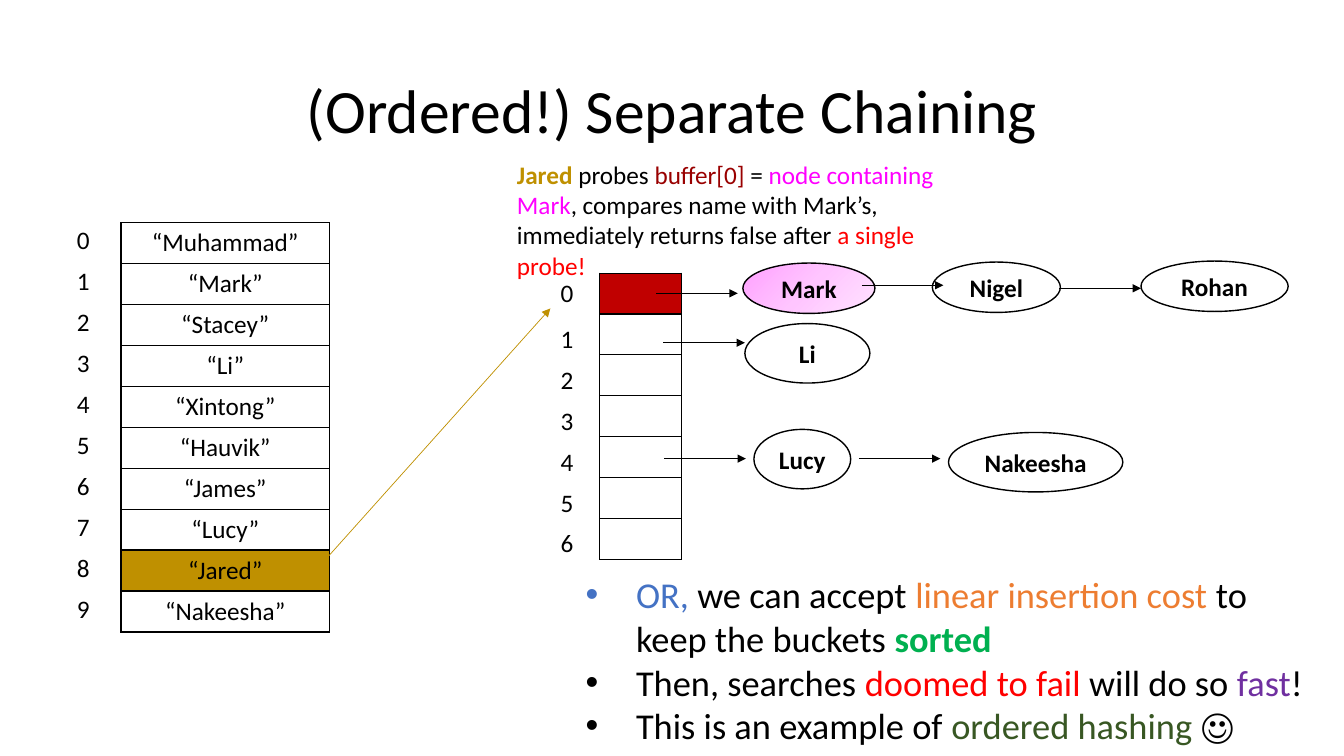
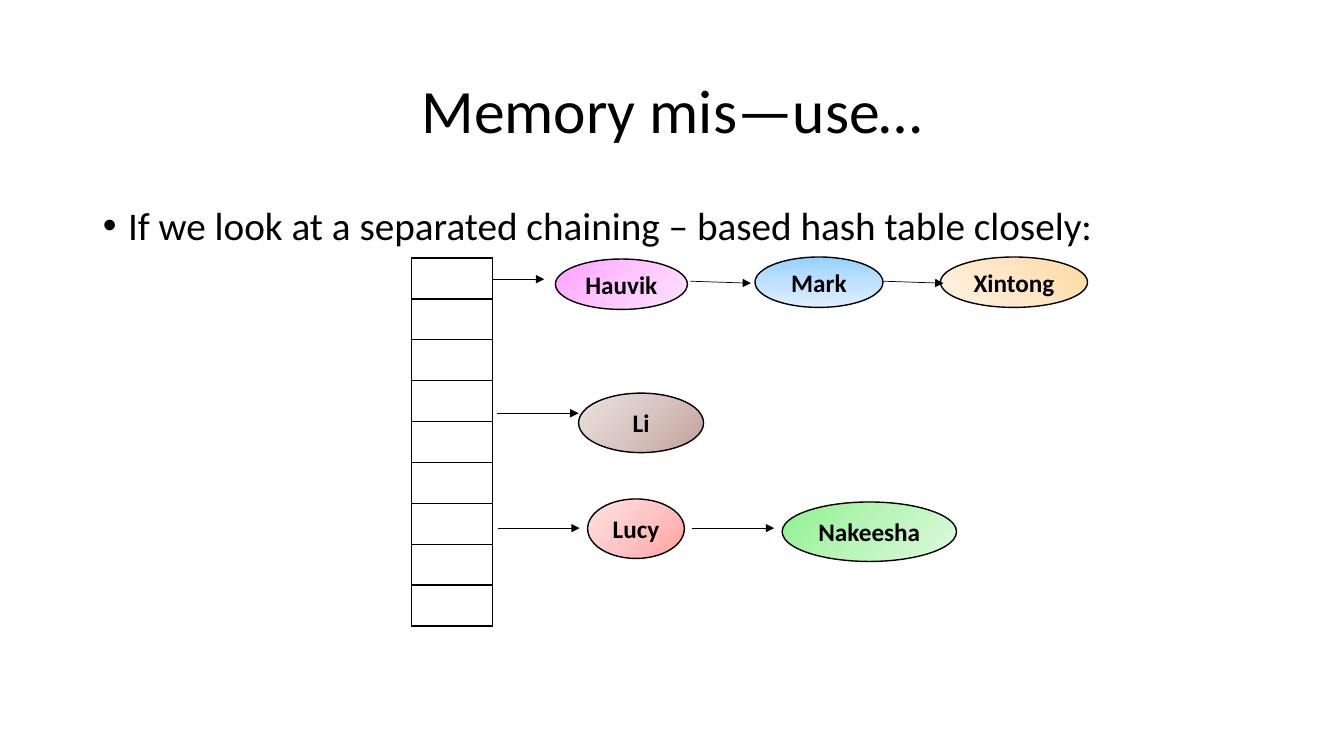
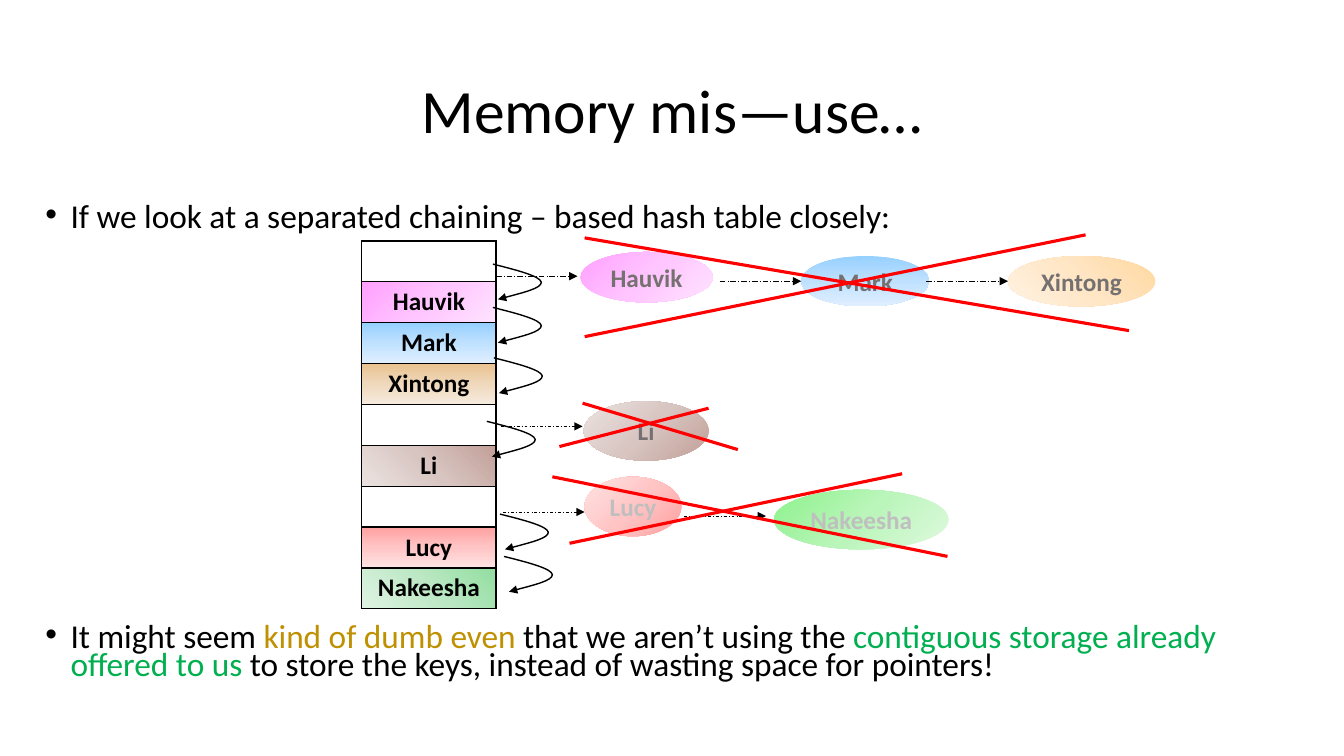
from copy import deepcopy

from lxml.etree import SubElement
from pptx import Presentation
from pptx.dml.color import RGBColor
from pptx.enum.dml import MSO_LINE
from pptx.enum.shapes import MSO_CONNECTOR, MSO_SHAPE
from pptx.enum.text import MSO_ANCHOR, MSO_AUTO_SIZE, PP_ALIGN
from pptx.oxml.ns import qn
from pptx.util import Inches, Pt

FONT = "Calibri"
BLACK, WHITE, RED, GOLD = "000000", "FFFFFF", "FF0000", "BF9000"
GREEN, GRAY, PALE = "00B050", "767171", "BFBFBF"
NO_GRID = "{2D5ABB26-0587-4C30-8999-92F81FD0307C}"
PINK = ("FFA0FF", "FFC5FF", "FFE3FF")
BLUE = ("96D0FF", "BFE1FF", "E0EFFF")
ORANGE = ("FFD8A0", "FFE6C5", "FFF2E3")
TAN = ("E9C28F", "EFD8BC", "F6EBDE")
BROWN = ("C29F98", "D8C5C1", "EBE3E1")
ROSE = ("FFA0A0", "FFC5C5", "FFE3E3")
LIME = ("8CF28C", "BAF5BA", "DEF9DE")
MINT = ("91DEA0", "BDE8C5", "DFF3E3")
NODE_FILLS = {
    "Hauvik": (PINK, 45), "Mark": (BLUE, 90), "Xintong": (ORANGE, 135),
    "Li": (BROWN, 225), "Lucy": (ROSE, 225), "Nakeesha": (LIME, None),
}
HOP_CURVES = (((0.24, 0.06), (0.47, 0.12), (0.48, 0.18)),
              ((0.48, 0.24), (0.27, 0.29), (0.05, 0.35)))
INTRO = "If we look at a separated chaining – based hash table closely:"


def rgb(color):
    """Turn a hex string into a colour."""
    return RGBColor.from_string(color)


def paint(fill, look):
    """Fill with nothing, a hex colour, or (three colours, clockwise angle or None for radial)."""
    if look is None:
        fill.background()
    elif isinstance(look, str):
        fill.solid()
        fill.fore_color.rgb = rgb(look)
    else:
        colors, angle = look
        fill.gradient()
        grad = fill._xPr.find(qn("a:gradFill"))
        stops = grad.find(qn("a:gsLst"))
        stops.insert(1, deepcopy(stops[0]))
        for stop, color, position in zip(fill.gradient_stops, colors, (0, 0.5, 1)):
            stop.color.rgb = rgb(color)
            stop.position = position
        if angle is None:
            grad.remove(grad.find(qn("a:lin")))
            radial = SubElement(grad, qn("a:path"), path="circle")
            SubElement(radial, qn("a:fillToRect"), r="100000", b="100000")
        else:
            fill.gradient_angle = 360 - angle


def write(tf, paragraphs, size=18, color=BLACK, bold=False, align=None,
          spacing=None, before=0, indent=None):
    """Write paragraphs, each a string or a list of strings and (text, colour, bold) parts."""
    for i, parts in enumerate(paragraphs):
        p = tf.add_paragraph() if i else tf.paragraphs[0]
        p.alignment, p.line_spacing, p.space_before = align, spacing, Pt(before)
        if indent:
            pPr = p._p.get_or_add_pPr()
            pPr.set("marL", str(Inches(indent)))
            pPr.set("indent", str(-Inches(indent)))
        for part in [parts] if isinstance(parts, str) else parts:
            text, tint, weight = (part, color, bold) if isinstance(part, str) else part
            r = p.add_run()
            r.text = text
            r.font.name, r.font.size, r.font.bold = FONT, Pt(size), weight
            r.font.color.rgb = rgb(tint)


def place(sp, box):
    """Move a shape to left, top, width, height in inches."""
    sp.left, sp.top, sp.width, sp.height = map(Inches, box)


def add_slide(prs, title, body_box):
    """Add a titled slide and return it with the text frame of its list."""
    s = prs.slides.add_slide(prs.slide_layouts[1])
    body = s.placeholders[1]
    place(s.shapes.title, (0.92, 0.4, 11.5, 1.45))
    place(body, body_box)
    for sp in (s.shapes.title, body):
        sp.text_frame.word_wrap = True
        sp.text_frame.auto_size = MSO_AUTO_SIZE.NONE
    s.shapes.title.text_frame.vertical_anchor = MSO_ANCHOR.MIDDLE
    write(s.shapes.title.text_frame, [title], size=44, align=PP_ALIGN.CENTER, spacing=0.9)
    return s, body.text_frame


def add_border(cell):
    """Draw a thin black line on all four sides of a cell."""
    tcPr = cell._tc.get_or_add_tcPr()
    for i, side in enumerate(("lnL", "lnR", "lnT", "lnB")):
        ln = SubElement(tcPr, qn(f"a:{side}"), w=str(Pt(1)))
        solid = SubElement(ln, qn("a:solidFill"))
        SubElement(solid, qn("a:srgbClr"), val=BLACK)
        tcPr.insert(i, ln)


def add_column(s, box, texts, fills=None, fill=WHITE, border=True, bold=False):
    """Add a one-column table; fills maps row numbers to their own fill."""
    table = s.shapes.add_table(len(texts), 1, *map(Inches, box)).table
    table._tbl.tblPr.find(qn("a:tableStyleId")).text = NO_GRID
    table.first_row = table.horz_banding = False
    for i, text in enumerate(texts):
        cell = table.cell(i, 0)
        paint(cell.fill, (fills or {}).get(i, fill))
        if border:
            add_border(cell)
        if text:
            write(cell.text_frame, [text], bold=bold, align=PP_ALIGN.CENTER)
    return table


def add_node(s, name, box, fill=WHITE, color=BLACK, outline=True):
    """Add an ellipse that holds one key of a chain."""
    sp = s.shapes.add_shape(MSO_SHAPE.OVAL, *map(Inches, box))
    sp.shadow.inherit = False
    paint(sp.fill, fill)
    if outline:
        sp.line.color.rgb, sp.line.width = rgb(BLACK), Pt(1)
    else:
        sp.line.fill.background()
    tf = sp.text_frame
    tf.word_wrap, tf.vertical_anchor = False, MSO_ANCHOR.MIDDLE
    write(tf, [name], color=color, bold=True, align=PP_ALIGN.CENTER)


def style_line(line, color, width, dash=None, arrow=True):
    """Format a line and give it an arrowhead at its end."""
    line.color.rgb, line.width = rgb(color), Pt(width)
    if dash:
        line.dash_style = dash
    if arrow:
        SubElement(line._get_or_add_ln(), qn("a:tailEnd"), type="triangle")


def add_line(s, x1, y1, x2, y2, color=BLACK, width=0.5, **style):
    """Add a straight line, by default a thin arrow."""
    line = s.shapes.add_connector(MSO_CONNECTOR.STRAIGHT, *map(Inches, (x1, y1, x2, y2)))
    style_line(line.line, color, width, **style)
    SubElement(line._element.spPr, qn("a:effectLst"))


def add_hop(s, x, y):
    """Add a curved arrow from one table row to the next."""
    builder = s.shapes.build_freeform(Inches(x), Inches(y))
    builder.add_line_segments([(Inches(x + curve[-1][0]), Inches(y + curve[-1][1]))
                               for curve in HOP_CURVES], close=False)
    sp = builder.convert_to_shape()
    outline = next(sp._element.iter(qn("a:path")))
    for segment, curve in zip(outline.findall(qn("a:lnTo")), HOP_CURVES):
        outline.remove(segment)
        bezier = SubElement(outline, qn("a:cubicBezTo"))
        for dx, dy in curve:
            SubElement(bezier, qn("a:pt"), x=str(Inches(dx)), y=str(Inches(dy)))
    sp.shadow.inherit = False
    sp.fill.background()
    style_line(sp.line, BLACK, 1)


def build_ordered(prs):
    """Build the slide on ordered chaining."""
    s, tf = add_slide(prs, "(Ordered!) Separate Chaining", (5.71, 5.63, 7.39, 1.85))
    write(tf, [
        [("OR, ", "4472C4", False), "we can accept ", ("linear insertion cost", "ED7D31", False),
         " to keep the buckets ", ("sorted", GREEN, True)],
        ["Then, searches ", ("doomed to fail ", RED, False), "will do so ",
         ("fast", "7030A0", False), "!"],
        ["This is an example of ", ("ordered hashing ", "385723", False), "☺"],
    ], size=26, spacing=1.0, indent=0.5)
    keys = ("Muhammad", "Mark", "Stacey", "Li", "Xintong", "Hauvik", "James", "Lucy",
            "Jared", "Nakeesha")
    bucket_numbers = add_column(s, (5.22, 2.71, 0.81, 2.84), [str(i) for i in range(7)],
                                fill=None, border=False)
    bucket_numbers.rows[0].height = Inches(0.46)
    add_column(s, (5.95, 2.71, 0.81, 2.84), [""] * 7, {0: "C00000"})
    add_column(s, (1.2, 2.21, 2.07, 4.06), [f"“{key}”" for key in keys], {8: GOLD})
    add_column(s, (0.46, 2.19, 0.73, 4.06), [str(i) for i in range(len(keys))],
               fill=None, border=False)
    add_node(s, "Mark", (7.37, 2.61, 1.31, 0.5), (PINK, 45))
    for name, box in (
        ("Nigel", (9.25, 2.6, 1.27, 0.5)), ("Rohan", (11.32, 2.59, 1.46, 0.5)),
        ("Li", (7.39, 3.21, 1.24, 0.59)), ("Lucy", (7.48, 4.26, 0.96, 0.59)),
        ("Nakeesha", (9.41, 4.29, 1.73, 0.59)),
    ):
        add_node(s, name, box)
    for x, y in ((6.51, 2.91), (8.55, 2.83), (10.51, 2.86), (6.58, 3.4), (6.59, 4.55),
                 (8.52, 4.55)):
        add_line(s, x, y, x + 0.81, y)
    add_line(s, 3.06, 5.74, 5.46, 3.06, color=GOLD)
    note = s.shapes.add_textbox(*map(Inches, (5.03, 1.53, 4.85, 1.31))).text_frame
    note.word_wrap = True
    write(note, [[
        ("Jared", GOLD, True), " probes ", ("buffer[0]", "990000", False), " =",
        (" node containing Mark", "FF00FF", False),
        ", compares name with Mark’s, immediately returns false after ",
        ("a single probe!", RED, False),
    ]])


def build_chains(prs):
    """Build the slide that shows the chains in memory."""
    s, tf = add_slide(prs, "Memory mis—use…", (0.92, 2, 11.5, 4.76))
    write(tf, [INTRO], size=28, spacing=0.9, before=10, indent=0.25)
    for name, box in (
        ("Hauvik", (5.51, 2.57, 1.31, 0.5)), ("Mark", (7.49, 2.55, 1.27, 0.5)),
        ("Xintong", (9.33, 2.55, 1.46, 0.5)), ("Li", (5.74, 3.9, 1.24, 0.59)),
        ("Lucy", (5.83, 4.95, 0.96, 0.59)), ("Nakeesha", (7.76, 4.98, 1.73, 0.59)),
    ):
        add_node(s, name, box, NODE_FILLS[name])
    for ends in ((4.58, 2.77, 5.4, 2.77), (4.93, 4.1, 5.74, 4.1), (4.94, 5.24, 5.75, 5.24),
                 (6.87, 5.24, 7.68, 5.24), (6.85, 2.79, 7.45, 2.81),
                 (8.76, 2.79, 9.36, 2.81)):
        add_line(s, *ends)
    add_column(s, (4.08, 2.56, 0.81, 3.65), [""] * 9)


def build_contiguous(prs):
    """Build the slide that moves the keys into the table."""
    s, tf = add_slide(prs, "Memory mis—use…", (0.35, 1.99, 12.06, 5.11))
    write(tf, [INTRO, [
        "It might seem ", ("kind of dumb even", GOLD, False), " that we aren’t using the ",
        ("contiguous storage already offered to us ", GREEN, False),
        "to store the keys, instead of wasting space for pointers!",
    ]], size=23.8, spacing=0.7, before=10, indent=0.25)
    tf.paragraphs[1].space_before = Pt(280)
    keys = ("", "Hauvik", "Mark", "Xintong", "", "Li", "", "Lucy", "Nakeesha")
    fills = {1: (PINK, 45), 2: (BLUE, 90), 3: (TAN, 90), 5: (BROWN, 135), 7: (ROSE, 90),
             8: (MINT, 135)}
    add_column(s, (3.59, 2.39, 1.33, 3.65), keys, fills, bold=True)
    for name, box, color in (
        ("Hauvik", (5.76, 2.5, 1.31, 0.5), GRAY), ("Mark", (7.95, 2.54, 1.27, 0.5), GRAY),
        ("Xintong", (10, 2.54, 1.46, 0.5), GRAY), ("Li", (5.79, 3.98, 1.24, 0.59), GRAY),
        ("Lucy", (5.8, 4.73, 0.96, 0.59), PALE), ("Nakeesha", (7.68, 4.86, 1.73, 0.59), PALE),
    ):
        add_node(s, name, box, NODE_FILLS[name], color, outline=False)
    short, long = MSO_LINE.DASH_DOT, MSO_LINE.LONG_DASH_DOT
    for x, y, dash in ((4.92, 2.74, long), (7.14, 2.79, long), (9.19, 2.79, long),
                       (4.97, 4.23, short), (4.99, 5.08, short), (6.79, 5.12, short)):
        add_line(s, x, y, x + 0.81, y, dash=dash)
    for x, y in ((4.89, 2.62), (4.89, 3.05), (4.9, 3.55), (4.83, 4.18), (4.96, 5.1),
                 (5, 5.52)):
        add_hop(s, x, y)
    for ends in ((5.8, 2.36, 11.2, 3.28), (5.8, 3.34, 10.77, 2.33), (5.78, 4, 7.32, 4.46),
                 (5.55, 4.43, 7.03, 4.05), (5.48, 4.73, 9.4, 5.52), (5.65, 5.39, 8.95, 4.7)):
        add_line(s, *ends, color=RED, width=2.25, arrow=False)


def main():
    """Build and save the presentation."""
    prs = Presentation()
    prs.slide_width, prs.slide_height = Inches(7.5 * 16 / 9), Inches(7.5)
    build_ordered(prs)
    build_chains(prs)
    build_contiguous(prs)
    prs.save("out.pptx")


if __name__ == "__main__":
    main()
